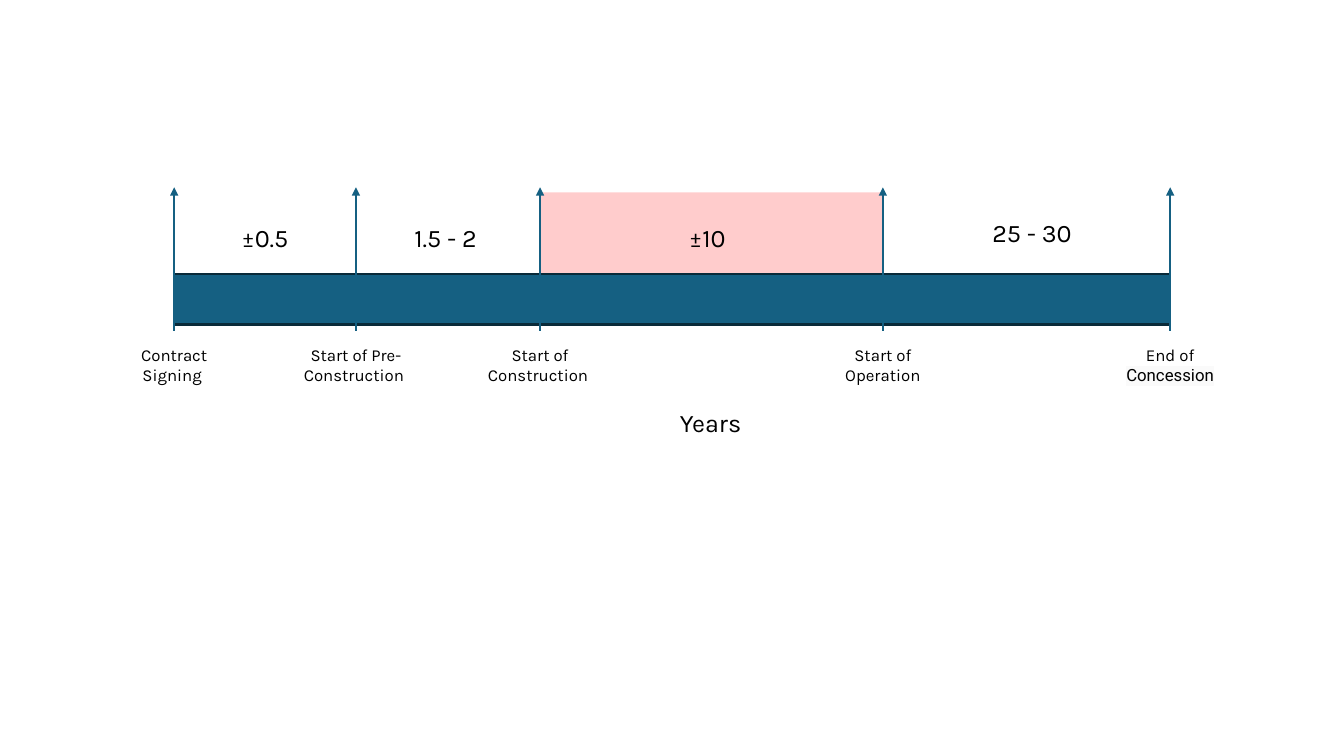
"""Build a slide with a concession timeline from contract signing to the end."""
from lxml import etree
from pptx import Presentation
from pptx import util as u
from pptx.dml.color import RGBColor
from pptx.enum import shapes, text
from pptx.oxml.ns import qn

COLORS = {"bar": "156082", "outline": "092A39", "construction": "FF0000",
          "text": "000000", "highlight": "FAFAFA"}
FONT, ACCENT_FONT = "Karla", "Roboto"

# Centre and label width in cm, then the text as (words, font) runs
MILESTONES = [
    (4.39, 2.59, [("Contract Signing ", FONT)]),
    (8.97, 3.43, [("Start of Pre-Construction ", FONT)]),
    (13.61, 3.43, [("Start of Construction ", FONT)]),
    (22.25, 3.43, [("Start of Operation", FONT)]),
    (29.49, 3.43, [("End of ", FONT), ("Concession", ACCENT_FONT)]),
]
# Centre and top in cm, then the text
CAPTIONS = [
    (6.68, 5.49, "±0.5"),
    (11.23, 5.49, "1.5 - 2"),
    (17.83, 5.49, "±10"),
    (26.01, 5.36, "25 - 30"),
    (17.91, 10.13, "Years"),
]
BAR_TOP, BAR_HEIGHT = 6.91, 1.27
ARROW_TOP, ARROW_BOTTOM = 4.72, 8.33
CONSTRUCTION_TOP = 4.85
LABEL_TOP, LABEL_HEIGHT = 8.56, 1.27
CAPTION_WIDTH, CAPTION_HEIGHT = 3.91, 1.02


def rgb(name):
    """Return the named colour."""
    return RGBColor.from_string(COLORS[name])


def add_band(slide, left, right, top, height, color):
    """Add a filled rectangle without outline or shadow."""
    shape = slide.shapes.add_shape(shapes.MSO_SHAPE.RECTANGLE, u.Cm(left), u.Cm(top),
                                   u.Cm(right - left), u.Cm(height))
    shape.shadow.inherit = False
    shape.fill.solid()
    shape.fill.fore_color.rgb = rgb(color)
    shape.line.fill.background()
    return shape


def add_arrow(slide, x):
    """Add an upward arrow that marks a milestone."""
    arrow = slide.shapes.add_connector(shapes.MSO_CONNECTOR.STRAIGHT, u.Cm(x),
                                       u.Cm(ARROW_BOTTOM), u.Cm(x), u.Cm(ARROW_TOP))
    arrow.line.color.rgb = rgb("bar")
    arrow.line.width = u.Pt(1.5)
    properties = arrow.element.spPr
    etree.SubElement(properties.find(qn("a:ln")), qn("a:tailEnd"), type="triangle")
    etree.SubElement(properties, qn("a:effectLst"))


def add_text(slide, center, top, width, height, size, runs):
    """Add a centred text box around a horizontal position."""
    box = slide.shapes.add_textbox(u.Cm(center - width / 2), u.Cm(top),
                                   u.Cm(width), u.Cm(height))
    frame = box.text_frame
    frame.word_wrap = True
    frame.auto_size = text.MSO_AUTO_SIZE.SHAPE_TO_FIT_TEXT
    paragraph = frame.paragraphs[0]
    paragraph.alignment = text.PP_ALIGN.CENTER
    paragraph.font.size = u.Pt(size)
    paragraph.font.name = FONT
    paragraph.font.color.rgb = rgb("text")
    for words, font in runs:
        run = paragraph.add_run()
        run.text = words
        if font != FONT:
            run.font.name = font
            highlight = etree.Element(qn("a:highlight"))
            etree.SubElement(highlight, qn("a:srgbClr"), val=COLORS["highlight"])
            run.font._element.insert(0, highlight)


def main():
    """Lay out the timeline and save the presentation."""
    presentation = Presentation()
    presentation.slide_width, presentation.slide_height = u.Cm(33.87), u.Cm(19.05)
    slide = presentation.slides.add_slide(presentation.slide_layouts[6])

    positions = [center for center, _, _ in MILESTONES]
    construction = add_band(slide, positions[2], positions[3], CONSTRUCTION_TOP,
                            BAR_TOP - CONSTRUCTION_TOP, "construction")
    tint = construction.element.spPr.find(qn("a:solidFill"))[0]
    etree.SubElement(tint, qn("a:alpha"), val="20000")
    bar = add_band(slide, positions[0], positions[-1], BAR_TOP, BAR_HEIGHT, "bar")
    bar.line.color.rgb = rgb("outline")
    bar.line.width = u.Pt(1.5)

    for center, width, runs in MILESTONES:
        add_arrow(slide, center)
        add_text(slide, center, LABEL_TOP, width, LABEL_HEIGHT, 12, runs)
    for center, top, caption in CAPTIONS:
        add_text(slide, center, top, CAPTION_WIDTH, CAPTION_HEIGHT, 18, [(caption, FONT)])

    presentation.save("out.pptx")


if __name__ == "__main__":
    main()
